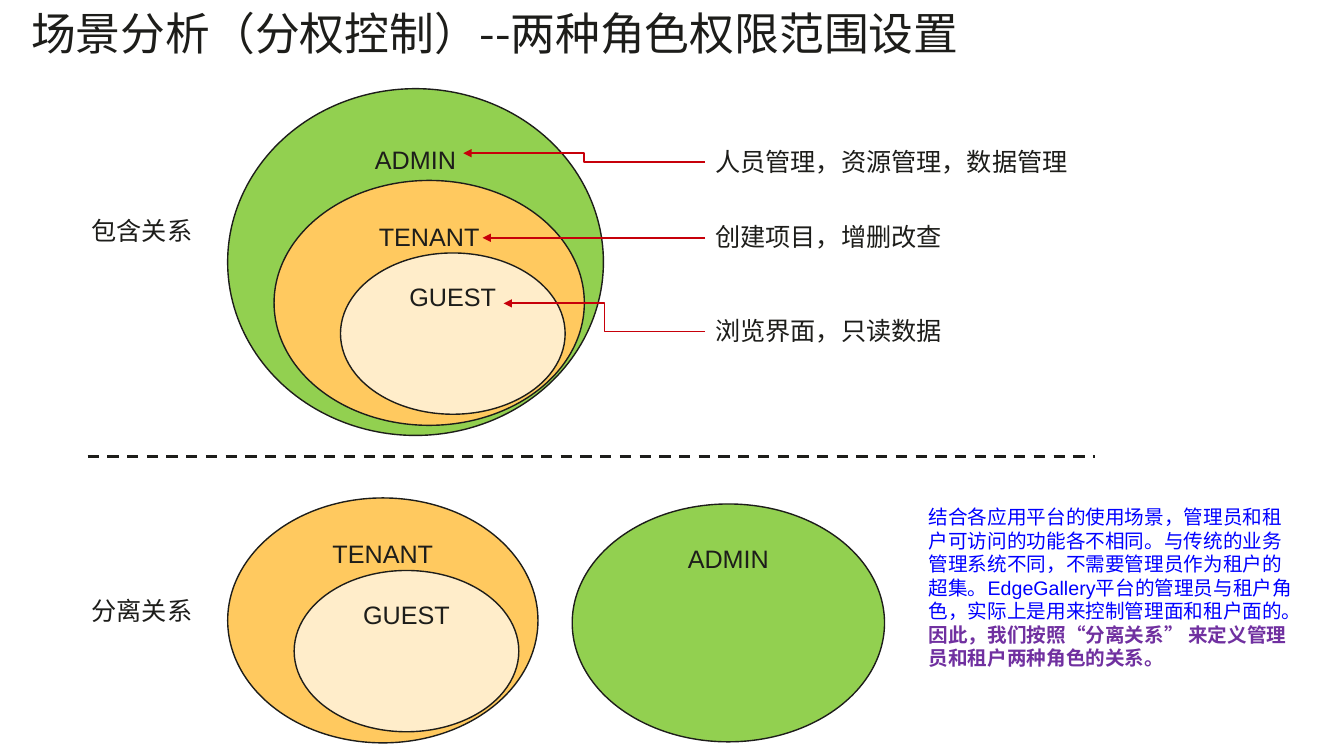
from lxml.etree import SubElement
from pptx import Presentation
from pptx.dml.color import RGBColor
from pptx.enum.dml import MSO_LINE
from pptx.enum.shapes import MSO_CONNECTOR, MSO_SHAPE
from pptx.enum.text import MSO_ANCHOR, PP_ALIGN
from pptx.oxml.ns import qn
from pptx.util import Inches, Pt

HUES = {
    "ink": "1D1D1A",
    "green": "92D050",
    "amber": "FFC95F",
    "cream": "FFEDCA",
    "red": "C7000A",
    "blue": "0000FF",
    "plum": "7030A0",
}
CJK = "Noto Sans CJK SC"


def hue(name):
    return RGBColor.from_string(HUES[name])


def style(para, size, tint="ink", bold=False, font="Arial", lead=None):
    para.line_spacing = Pt(lead or size * 1.2)
    for run in para.runs:
        run.font.size = Pt(size)
        run.font.bold = bold
        run.font.name = font
        run.font.color.rgb = hue(tint)
        SubElement(run.font._element, qn("a:ea"), typeface=CJK)


def text_box(slide, box, words, wrap=False):
    frame = slide.shapes.add_textbox(*map(Inches, box)).text_frame
    frame.word_wrap = wrap
    frame.text = words
    return frame


def label(slide, left, top, width, words):
    frame = text_box(slide, (left, top, width, 0.4), words)
    style(frame.paragraphs[0], 18)


def oval(slide, box, words, fill):
    shape = slide.shapes.add_shape(MSO_SHAPE.OVAL, *map(Inches, box))
    shape.shadow.inherit = False
    shape.fill.solid()
    shape.fill.fore_color.rgb = hue(fill)
    shape.line.color.rgb = hue("ink")
    shape.line.width = Pt(1)
    frame = shape.text_frame
    frame.vertical_anchor = MSO_ANCHOR.TOP
    frame.text = words
    frame.paragraphs[0].alignment = PP_ALIGN.CENTER
    style(frame.paragraphs[0], 18)


def link(slide, kind, ends, tint, width):
    wire = slide.shapes.add_connector(kind, *map(Inches, ends))
    wire.line.color.rgb = hue(tint)
    wire.line.width = Pt(width)
    SubElement(wire._element.spPr, qn("a:effectLst"))
    return wire


def arrow(slide, ends):
    wire = link(slide, MSO_CONNECTOR.ELBOW, ends, "red", 1.25)
    SubElement(wire.line._ln, qn("a:tailEnd"), type="triangle")


def title(slide, box):
    frame = text_box(slide, box, "场景分析（分权控制）--两种角色权限范围设置", True)
    frame.margin_left = frame.margin_right = 0
    frame.margin_top = frame.margin_bottom = 0
    style(frame.paragraphs[0], 32, font=CJK, lead=34.3)


def tenant(slide, left, top):
    oval(slide, (left, top, 3.08, 2.43), "TENANT", "amber")
    oval(slide, (left + 0.66, top + 0.72, 2.23, 1.6), "GUEST", "cream")


def nested(slide, left, top):
    label(slide, left, top + 1.21, 1.21, "包含关系")
    oval(slide, (left + 1.45, top, 3.73, 3.44), "ADMIN", "green")
    tenant(slide, left + 1.91, top + 0.91)
    duties = [
        ("人员管理，资源管理，数据管理", 3.74, 0.52, 3.79, 0.64),
        ("创建项目，增删改查", 2.47, 1.27, 3.98, 1.48),
        ("浏览界面，只读数据", 2.47, 2.2, 4.19, 2.13),
    ]
    start = left + 6.19
    for words, width, drop, tip, end in duties:
        label(slide, start, top + drop, width, words)
        arrow(slide, (start, top + drop + 0.21, left + tip, top + end))


def divider(slide, left, top, width):
    wire = link(slide, MSO_CONNECTOR.STRAIGHT, (left, top, left + width, top), "ink", 2)
    wire.line.dash_style = MSO_LINE.DASH


def apart(slide, left, top):
    label(slide, left, top + 0.92, 1.21, "分离关系")
    tenant(slide, left + 1.45, top)
    oval(slide, (left + 4.87, top + 0.06, 3.1, 2.36), "ADMIN", "green")


def note(slide, box):
    frame = text_box(
        slide,
        box,
        "结合各应用平台的使用场景，管理员和租户可访问的功能各不相同。"
        "与传统的业务管理系统不同，不需要管理员作为租户的超集。"
        "EdgeGallery平台的管理员与租户角色，实际上是用来控制管理面和租户面的。\n"
        "因此，我们按照“分离关系” 来定义管理员和租户两种角色的关系。",
        True,
    )
    reason, choice = frame.paragraphs
    style(reason, 14, "blue")
    style(choice, 14, "plum", True)


def main():
    deck = Presentation()
    deck.slide_width = Inches(13.34)
    deck.slide_height = Inches(7.5)
    slide = deck.slides.add_slide(deck.slide_layouts[6])
    title(slide, (0.31, 0.11, 11.75, 1.09))
    nested(slide, 0.81, 0.88)
    divider(slide, 0.87, 4.53, 10)
    apart(slide, 0.81, 4.94)
    note(slide, (9.12, 4.96, 3.9, 1.99))
    deck.save("out.pptx")


if __name__ == "__main__":
    main()
